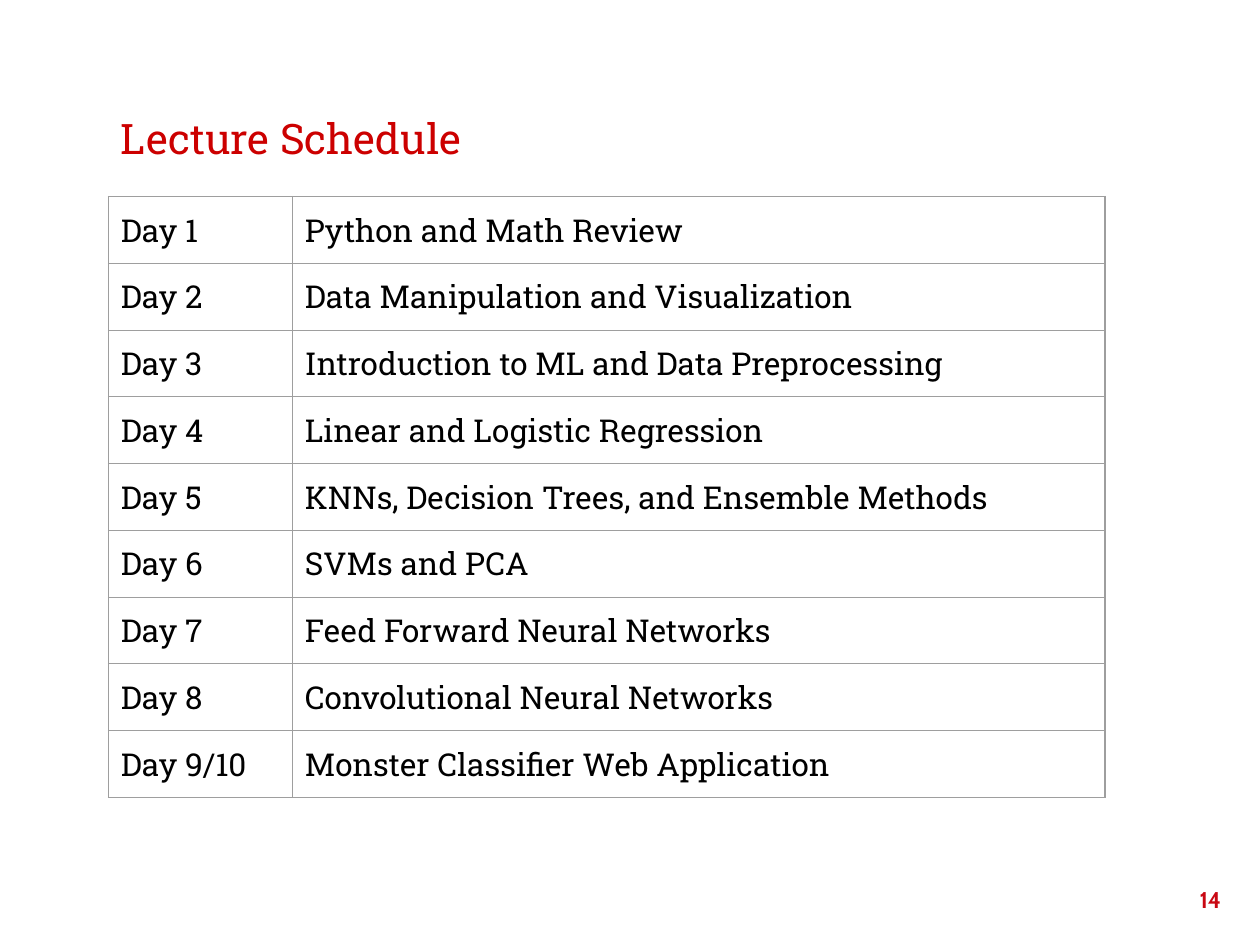
from pptx import Presentation
from pptx.dml.color import RGBColor
from pptx.enum.text import MSO_ANCHOR, MSO_AUTO_SIZE, PP_ALIGN
from pptx.oxml import parse_xml
from pptx.oxml.ns import nsdecls
from pptx.util import Inches, Pt

COLORS = {"title": "CC0000", "number": "C90813", "text": "000000", "border": "9E9E9E"}
MARGIN = Inches(0.1)
ROW_HEIGHT = 0.53
COLUMN_WIDTHS = [1.46, 6.45]
SCHEDULE = [
    ("Day 1", "Python and Math Review"),
    ("Day 2", "Data Manipulation and Visualization"),
    ("Day 3", "Introduction to ML and Data Preprocessing"),
    ("Day 4", "Linear and Logistic Regression"),
    ("Day 5", "KNNs, Decision Trees, and Ensemble Methods"),
    ("Day 6", "SVMs and PCA"),
    ("Day 7", "Feed Forward Neural Networks"),
    ("Day 8", "Convolutional Neural Networks"),
    ("Day 9/10", "Monster Classifier Web Application"),
]


def write_text(frame, text, font_name, size, color, align=PP_ALIGN.LEFT, bold=False):
    frame.text = text
    frame.word_wrap = True
    paragraph = frame.paragraphs[0]
    paragraph.alignment = align
    font = paragraph.runs[0].font
    font.name = font_name
    font.size = Pt(size)
    font.bold = bold
    font.color.rgb = RGBColor.from_string(COLORS[color])


def set_margins(target):
    target.margin_left = target.margin_right = MARGIN
    target.margin_top = target.margin_bottom = MARGIN


presentation = Presentation()
presentation.slide_width = Inches(10)
presentation.slide_height = Inches(7.5)
slide = presentation.slides.add_slide(presentation.slide_layouts[5])

title = slide.shapes.title
title.left, title.top = Inches(0.86), Inches(0.37)
title.width, title.height = Inches(8.28), Inches(1.02)
write_text(title.text_frame, "Lecture Schedule", "Roboto Slab", 24, "title")
title.text_frame.vertical_anchor = MSO_ANCHOR.BOTTOM
title.text_frame.auto_size = MSO_AUTO_SIZE.NONE
set_margins(title.text_frame)

number = slide.shapes.add_textbox(Inches(9.19), Inches(6.93), Inches(0.6), Inches(0.57))
write_text(number.text_frame, "14", "Cabin", 13, "number", PP_ALIGN.RIGHT, True)
set_margins(number.text_frame)

table = slide.shapes.add_table(
    len(SCHEDULE), len(COLUMN_WIDTHS), Inches(0.86), Inches(1.56),
    Inches(sum(COLUMN_WIDTHS)), Inches(ROW_HEIGHT * len(SCHEDULE)),
).table
table.first_row = False
table.horz_banding = False
for column, width in zip(table.columns, COLUMN_WIDTHS):
    column.width = Inches(width)

for row, entries in zip(table.rows, SCHEDULE):
    row.height = Inches(ROW_HEIGHT)
    for cell, text in zip(row.cells, entries):
        write_text(cell.text_frame, text, "Roboto Slab", 18, "text")
        set_margins(cell)
        cell.fill.background()
        properties = cell._tc.get_or_add_tcPr()
        for index, side in enumerate(["lnL", "lnR", "lnT", "lnB"]):
            border = parse_xml(
                f'<a:{side} {nsdecls("a")} w="{Pt(0.75)}"><a:solidFill>'
                f'<a:srgbClr val="{COLORS["border"]}"/></a:solidFill></a:{side}>'
            )
            properties.insert(index, border)

presentation.save("out.pptx")
